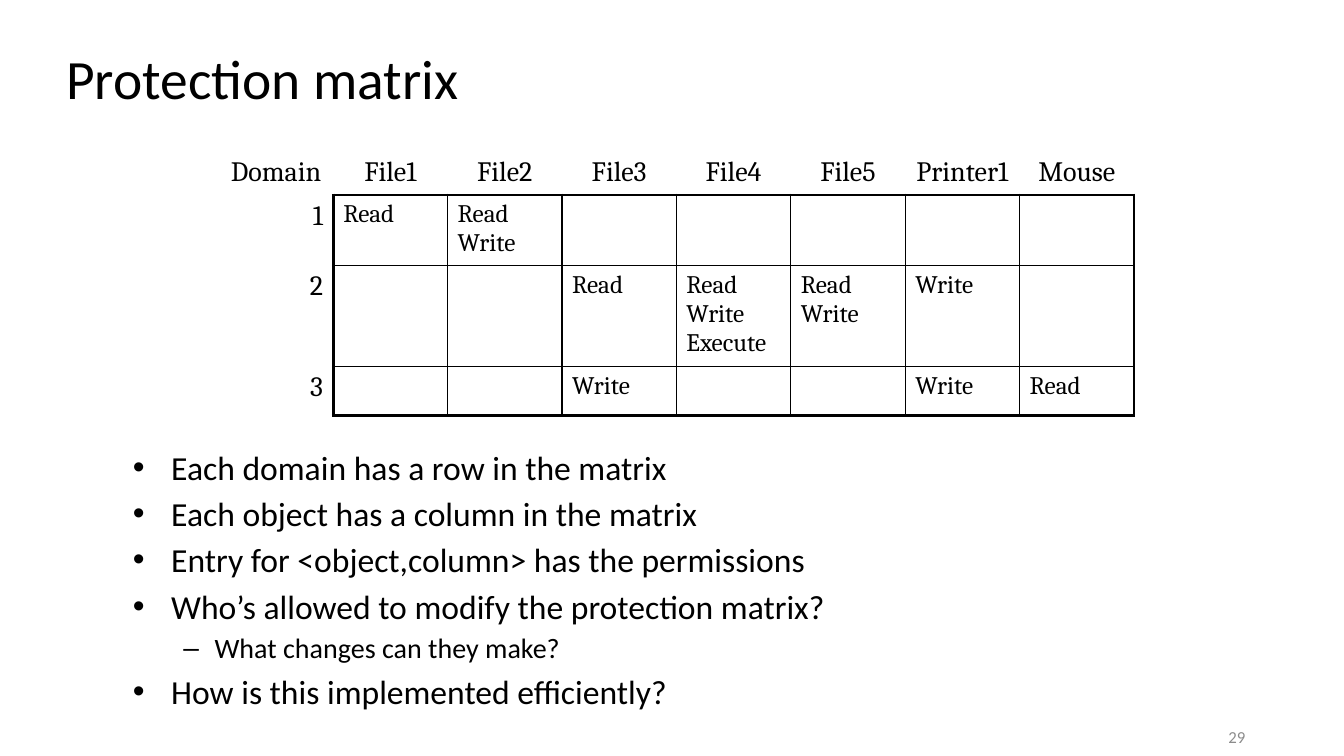
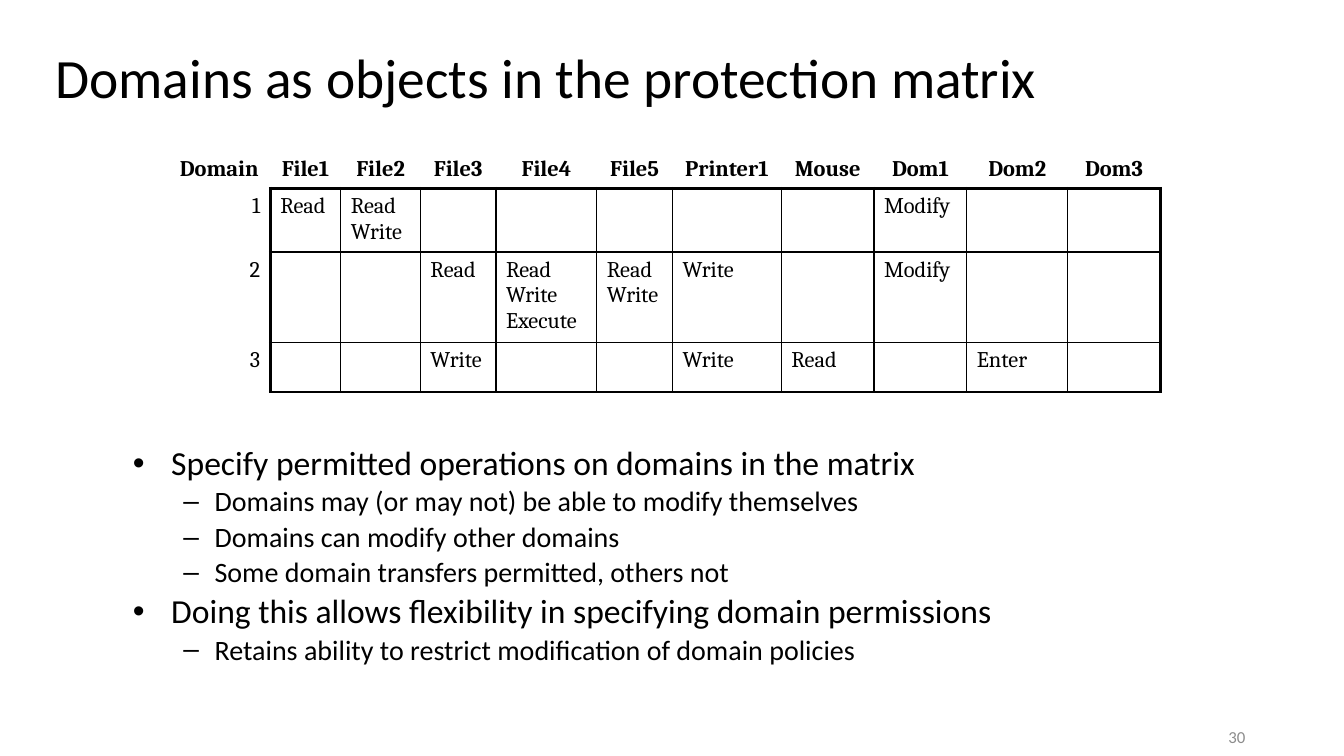
import lxml.etree
import pptx
import pptx.dml.color
import pptx.enum.text
import pptx.oxml.ns
import pptx.util

Inches, Pt = pptx.util.Inches, pptx.util.Pt
qn = pptx.oxml.ns.qn
ALIGN = pptx.enum.text.PP_ALIGN
ANCHOR = pptx.enum.text.MSO_ANCHOR

COLORS = {"paper": "FFFFFF", "ink": "000000", "muted": "8C8C8C"}
SANS, SERIF = "Calibri", "Cambria"
THICK, THIN = 2.25, 1
BODY_BOX = (1.22, 4.38, 11.84, 2.62)
NUMBER_BOX = (11.89, 7.17, 0.56, 0.27)
# bullet, text indent, hanging indent, size for each outline level
LEVELS = [("•", 0.38, 0.38, 24), ("–", 0.81, 0.31, 20)]

PERMISSIONS = {
    (1, "File1"): "Read",
    (1, "File2"): "Read Write",
    (2, "File3"): "Read",
    (2, "File4"): "Read Write Execute",
    (2, "File5"): "Read Write",
    (2, "Printer1"): "Write",
    (3, "File3"): "Write",
    (3, "Printer1"): "Write",
    (3, "Mouse"): "Read",
}
DOMAIN_PERMISSIONS = {
    (1, "Dom1"): "Modify",
    (2, "Dom1"): "Modify",
    (3, "Dom2"): "Enter",
}
OBJECTS = ["File1", "File2", "File3", "File4", "File5", "Printer1", "Mouse"]

SLIDES = [
    {
        "title": "Protection matrix",
        "title_box": (0.56, 0.43, 11.33, 0.67),
        "matrix": {
            "origin": (2.17, 1.5),
            "objects": OBJECTS,
            "permissions": PERMISSIONS,
            "widths": [9.08 / 8] * 8,
            "heights": [0.42, 0.67, 0.97, 0.49],
            "label_size": 20,
            "entry_size": 18,
            "bold_header": False,
        },
        "points": [
            (0, "Each domain has a row in the matrix"),
            (0, "Each object has a column in the matrix"),
            (0, "Entry for <object,column> has the permissions"),
            (0, "Who’s allowed to modify the protection matrix?"),
            (1, "What changes can they make?"),
            (0, "How is this implemented efficiently?"),
        ],
        "line_spacing": 1.0,
        "number": 29,
    },
    {
        "title": "Domains as objects in the protection matrix",
        "title_box": (0.45, 0.42, 11.33, 0.67),
        "matrix": {
            "origin": (1.67, 1.5),
            "objects": OBJECTS + ["Dom1", "Dom2", "Dom3"],
            "permissions": PERMISSIONS | DOMAIN_PERMISSIONS,
            "widths": [1.01, 0.7, 0.79, 0.75, 1, 0.75, 1.08, 0.92, 0.92, 1, 0.92],
            "heights": [0.35, 0.61, 0.86, 0.49],
            "label_size": 16,
            "entry_size": 16,
            "bold_header": True,
        },
        "points": [
            (0, "Specify permitted operations on domains in the matrix"),
            (1, "Domains may (or may not) be able to modify themselves"),
            (1, "Domains can modify other domains"),
            (1, "Some domain transfers permitted, others not"),
            (0, "Doing this allows flexibility in specifying domain permissions"),
            (1, "Retains ability to restrict modification of domain policies"),
        ],
        "line_spacing": 0.9,
        "number": 30,
    },
]


def style(paragraph, family, size, color="ink", align=ALIGN.LEFT, bold=False):
    paragraph.alignment = align
    font = paragraph.font
    font.name, font.size, font.bold = family, Pt(size), bold
    font.color.rgb = pptx.dml.color.RGBColor.from_string(COLORS[color])


def add_frame(slide, box, anchor):
    frame = slide.shapes.add_textbox(*map(Inches, box)).text_frame
    frame.word_wrap = True
    frame.vertical_anchor = anchor
    return frame


def add_title(slide, box, title):
    heading = add_frame(slide, box, ANCHOR.MIDDLE).paragraphs[0]
    heading.text = title
    style(heading, SANS, 39.6)


def add_page_number(slide, box, number):
    page = add_frame(slide, box, ANCHOR.MIDDLE).paragraphs[0]
    page.text = str(number)
    style(page, SANS, 12, "muted", ALIGN.RIGHT)


def add_points(slide, box, points, line_spacing):
    frame = add_frame(slide, box, ANCHOR.TOP)
    for index, (level, text) in enumerate(points):
        point = frame.add_paragraph() if index else frame.paragraphs[0]
        point.text = text
        point.level = level
        bullet, indent, hanging, size = LEVELS[level]
        properties = point._p.get_or_add_pPr()
        properties.set("marL", str(Inches(indent)))
        properties.set("indent", str(-Inches(hanging)))
        lxml.etree.SubElement(properties, qn("a:buFont"), typeface="Arial")
        lxml.etree.SubElement(properties, qn("a:buChar"), char=bullet)
        point.line_spacing = line_spacing
        point.space_before = Pt(0.18 * size)
        style(point, SANS, size)


def set_borders(cell, widths):
    """Draw left, right, top and bottom lines; a width of 0 means no line."""
    properties = cell._tc.get_or_add_tcPr()
    for index, (side, width) in enumerate(zip("LRTB", widths)):
        line = lxml.etree.Element(qn(f"a:ln{side}"), w=str(Pt(width)))
        if width:
            fill = lxml.etree.SubElement(line, qn("a:solidFill"))
            lxml.etree.SubElement(fill, qn("a:srgbClr"), val=COLORS["ink"])
        else:
            lxml.etree.SubElement(line, qn("a:noFill"))
        properties.insert(index, line)


def border_widths(row, column, last_row, last_column):
    """Thick frame around the entries, thin grid inside, nothing on labels."""
    if row == 0:
        return 0, 0, 0, THICK if column else 0
    if column == 0:
        return 0, THICK, 0, 0
    return (
        THICK if column == 1 else THIN,
        THICK if column == last_column else THIN,
        THICK if row == 1 else THIN,
        THICK if row == last_row else THIN,
    )


def add_matrix(slide, origin, objects, permissions, widths, heights,
               label_size, entry_size, bold_header):
    header = ["Domain"] + objects
    size = (sum(widths), sum(heights))
    matrix = slide.shapes.add_table(
        len(heights), len(header), *map(Inches, origin + size)).table
    matrix.first_row = matrix.horz_banding = False
    for column, width in zip(matrix.columns, widths):
        column.width = Inches(width)
    for row, height in zip(matrix.rows, heights):
        row.height = Inches(height)

    for domain in range(len(heights)):
        for position, name in enumerate(header):
            cell = matrix.cell(domain, position)
            entry = cell.text_frame.paragraphs[0]
            if domain == 0:
                entry.text = name
                style(entry, SERIF, label_size, align=ALIGN.CENTER, bold=bold_header)
            elif position == 0:
                entry.text = str(domain)
                style(entry, SERIF, label_size, align=ALIGN.RIGHT)
            else:
                # one permission per line
                entry.text = permissions.get((domain, name), "").replace(" ", "\v")
                style(entry, SERIF, entry_size)
            cell.fill.background()
            set_borders(cell, border_widths(
                domain, position, len(heights) - 1, len(header) - 1))


def add_matrix_slide(deck, content):
    slide = deck.slides.add_slide(deck.slide_layouts[6])
    background = slide.background.fill
    background.solid()
    background.fore_color.rgb = pptx.dml.color.RGBColor.from_string(COLORS["paper"])
    add_title(slide, content["title_box"], content["title"])
    add_points(slide, BODY_BOX, content["points"], content["line_spacing"])
    add_matrix(slide, **content["matrix"])
    add_page_number(slide, NUMBER_BOX, content["number"])


def main():
    deck = pptx.Presentation()
    deck.slide_width, deck.slide_height = Inches(13.33), Inches(7.5)
    for content in SLIDES:
        add_matrix_slide(deck, content)
    deck.save("out.pptx")


if __name__ == "__main__":
    main()
